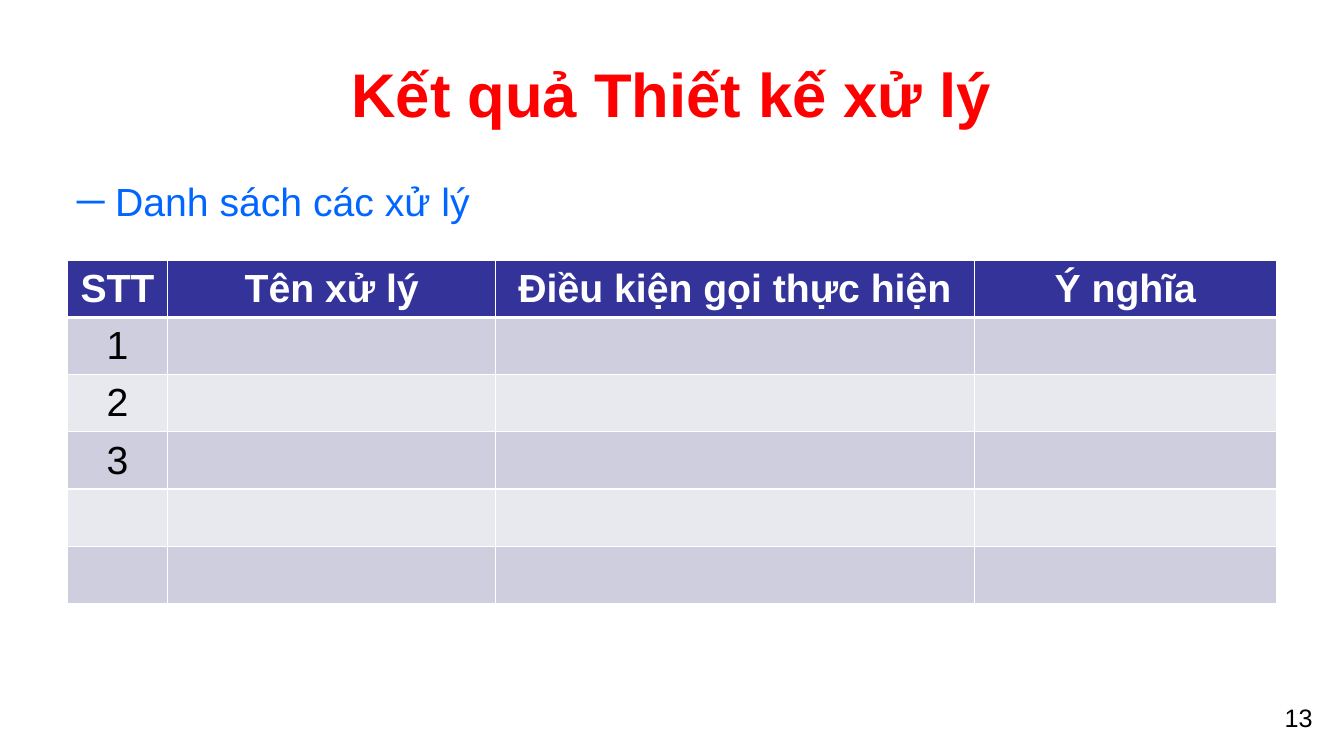
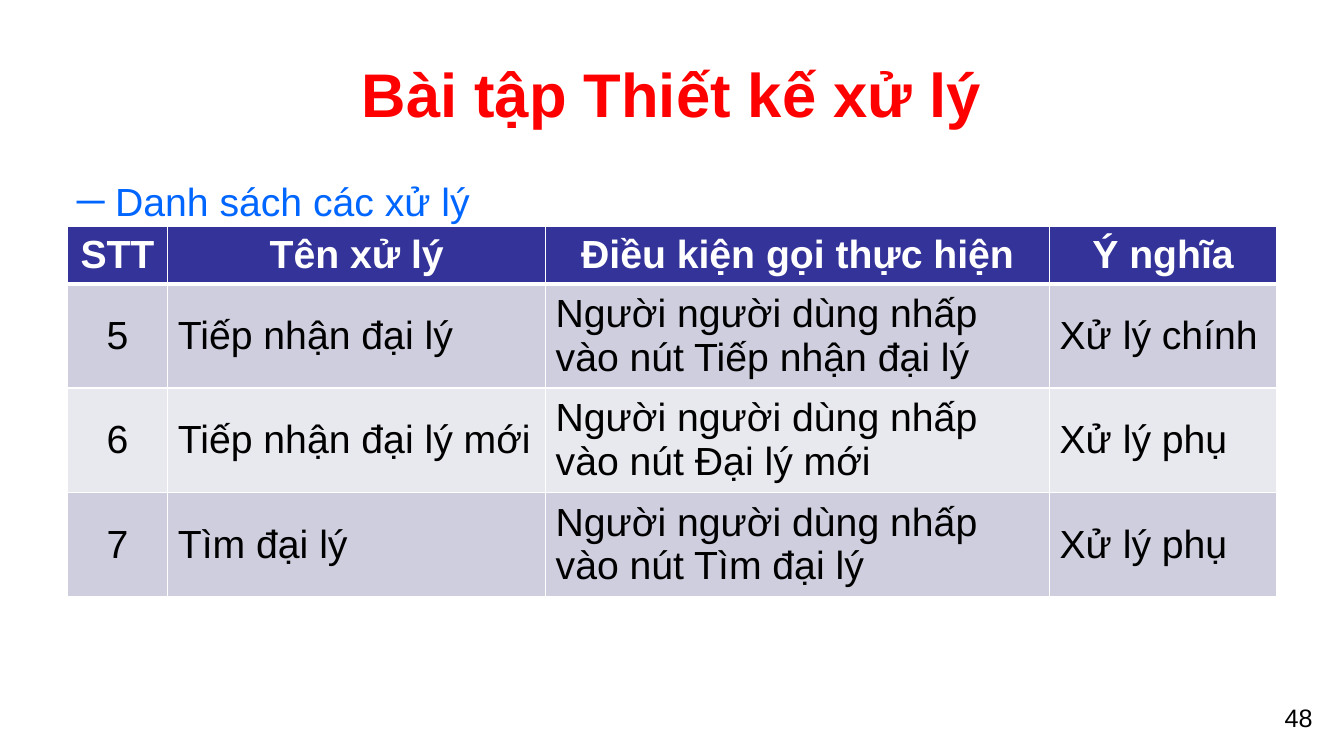
"""Builds two slides that list the processing functions of a design."""
import dataclasses
import typing

import lxml.etree
import pptx
import pptx.dml.color
import pptx.enum.text
import pptx.oxml.ns
import pptx.presentation
import pptx.slide
import pptx.table
import pptx.text.text
import pptx.util

Cm = pptx.util.Cm
Pt = pptx.util.Pt
RGBColor = pptx.dml.color.RGBColor
Align = pptx.enum.text.PP_ALIGN
Anchor = pptx.enum.text.MSO_ANCHOR

RED = RGBColor(0xFF, 0x00, 0x00)
BLUE = RGBColor(0x00, 0x66, 0xFF)
NAVY = RGBColor(0x33, 0x33, 0x99)
DARK_BAND = RGBColor(0xCE, 0xCE, 0xDE)
LIGHT_BAND = RGBColor(0xE8, 0xE8, 0xEF)
WHITE = RGBColor(0xFF, 0xFF, 0xFF)
BLACK = RGBColor(0x00, 0x00, 0x00)

FONT = "Arial"
LEFT = Cm(1.69)
WIDTH = Cm(30.48)
ROW_HEIGHT = Cm(1.04)
INDENT = Cm(0.96)
THIN, THICK = Pt(1), Pt(3)
HEADINGS = ("STT", "Tên xử lý", "Điều kiện gọi thực hiện", "Ý nghĩa")
SUBTITLE = "Danh sách các xử lý"


@dataclasses.dataclass(frozen=True)
class TextStyle:
    size: int
    color: RGBColor
    bold: bool = False
    align: Align = Align.CENTER


@dataclasses.dataclass(frozen=True)
class ProcessSlide:
    title: str
    number: int
    table_top: float
    column_widths: tuple[float, ...]
    rows: tuple[tuple[str, ...], ...]


TITLE = TextStyle(44, RED, bold=True)
BODY = TextStyle(28, BLUE, align=Align.JUSTIFY)
NUMBER = TextStyle(18, BLACK)
HEADING = TextStyle(28, WHITE, bold=True)
CENTERED_CELL = TextStyle(28, BLACK)
LEFT_CELL = TextStyle(28, BLACK, align=Align.LEFT)

SLIDES = (
    ProcessSlide(
        "Kết quả Thiết kế xử lý", 13, 6.56, (2.54, 8.26, 12.06, 7.62),
        tuple((label, "", "", "") for label in ("1", "2", "3", "", "")),
    ),
    ProcessSlide(
        "Bài tập Thiết kế xử lý", 48, 5.71, (2.54, 9.52, 12.7, 5.72),
        (
            ("5", "Tiếp nhận đại lý",
             "Người người dùng nhấp vào nút Tiếp nhận đại lý", "Xử lý chính"),
            ("6", "Tiếp nhận đại lý mới",
             "Người người dùng nhấp vào nút Đại lý mới", "Xử lý phụ"),
            ("7", "Tìm đại lý",
             "Người người dùng nhấp vào nút Tìm đại lý", "Xử lý phụ"),
        ),
    ),
)


def add_element(parent: lxml.etree._Element, tag: str,
                **attributes: str) -> lxml.etree._Element:
    """Append a drawing element with its attributes."""
    return lxml.etree.SubElement(parent, pptx.oxml.ns.qn(tag), attributes)


def write(frame: pptx.text.text.TextFrame, text: str, style: TextStyle,
          bullet: typing.Optional[str] = None) -> None:
    """Fill a frame with one styled paragraph."""
    para = frame.paragraphs[0]
    para.text = text
    para.alignment = style.align
    if bullet:
        properties = para._p.get_or_add_pPr()
        properties.set("marL", str(INDENT))
        properties.set("indent", str(-INDENT))
        add_element(properties, "a:buFont", typeface=FONT)
        add_element(properties, "a:buChar", char=bullet)
    para.font.name = FONT
    para.font.size = Pt(style.size)
    para.font.bold = style.bold
    para.font.color.rgb = style.color
    end = add_element(para._p, "a:endParaRPr", sz=str(style.size * 100))
    add_element(end, "a:latin", typeface=FONT)


def add_text(page: pptx.slide.Slide, left: int, top: int, width: int, height: int,
             text: str, style: TextStyle, anchor: Anchor = Anchor.TOP,
             bullet: typing.Optional[str] = None) -> None:
    """Add a wrapping text box."""
    frame = page.shapes.add_textbox(left, top, width, height).text_frame
    frame.word_wrap = True
    frame.vertical_anchor = anchor
    write(frame, text, style, bullet)


def set_borders(cell: pptx.table._Cell, top: int, bottom: int) -> None:
    """Draw white lines on the four sides of a cell."""
    properties = cell._tc.get_or_add_tcPr()
    for side, width in (("L", THIN), ("R", THIN), ("T", top), ("B", bottom)):
        line = add_element(properties, f"a:ln{side}", w=str(width))
        fill = add_element(line, "a:solidFill")
        add_element(fill, "a:srgbClr", val=str(WHITE))


def add_process_table(page: pptx.slide.Slide, content: ProcessSlide) -> None:
    """Add the banded table, whose rows grow to fit their text."""
    lines = (HEADINGS, *content.rows)
    table = page.shapes.add_table(
        len(lines), len(HEADINGS), LEFT, Cm(content.table_top), WIDTH,
        ROW_HEIGHT * len(lines)
    ).table
    table.horz_banding = False
    for column, width in zip(table.columns, content.column_widths):
        column.width = Cm(width)
    for row_index, (row, texts) in enumerate(zip(table.rows, lines)):
        is_header = row_index == 0
        band = NAVY if is_header else DARK_BAND if row_index % 2 else LIGHT_BAND
        for column_index, (cell, text) in enumerate(zip(row.cells, texts)):
            set_borders(cell, THICK if row_index == 1 else THIN,
                        THICK if is_header else THIN)
            cell.fill.solid()
            cell.fill.fore_color.rgb = band
            cell.vertical_anchor = Anchor.MIDDLE
            body_style = LEFT_CELL if column_index else CENTERED_CELL
            write(cell.text_frame, text, HEADING if is_header else body_style)


def add_process_slide(deck: pptx.presentation.Presentation,
                      content: ProcessSlide) -> None:
    """Add one slide with its number, title, subtitle and table."""
    page = deck.slides.add_slide(deck.slide_layouts[6])
    add_text(page, Cm(31.6), Cm(17.58), Cm(2.26), Cm(1.02),
             str(content.number), NUMBER)
    add_text(page, LEFT, Cm(0.76), WIDTH, Cm(3.18),
             content.title, TITLE, Anchor.MIDDLE)
    add_text(page, LEFT, Cm(4.35), WIDTH, Cm(1.36), SUBTITLE, BODY, bullet="─")
    add_process_table(page, content)


def main() -> None:
    """Build and save the deck."""
    deck = pptx.Presentation()
    deck.slide_width = Cm(33.87)
    deck.slide_height = Cm(19.05)
    for content in SLIDES:
        add_process_slide(deck, content)
    deck.save("out.pptx")


if __name__ == "__main__":
    main()
